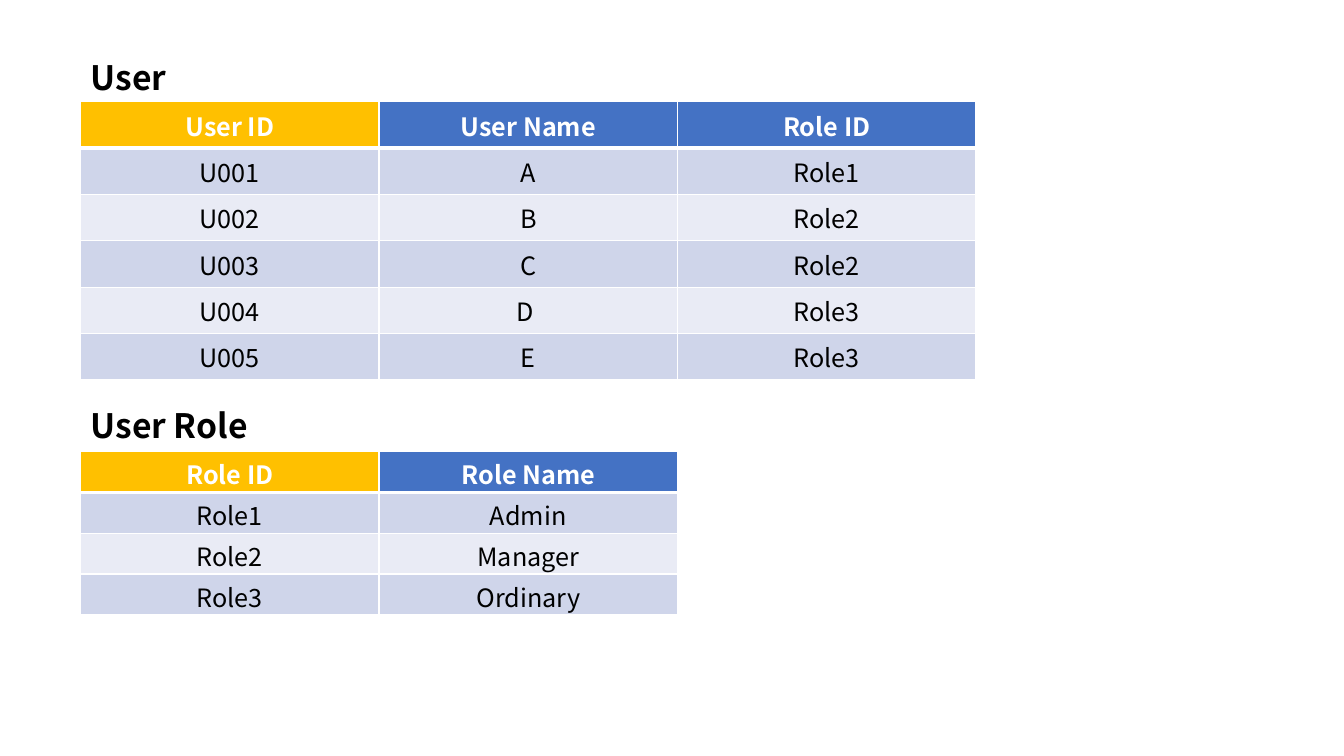
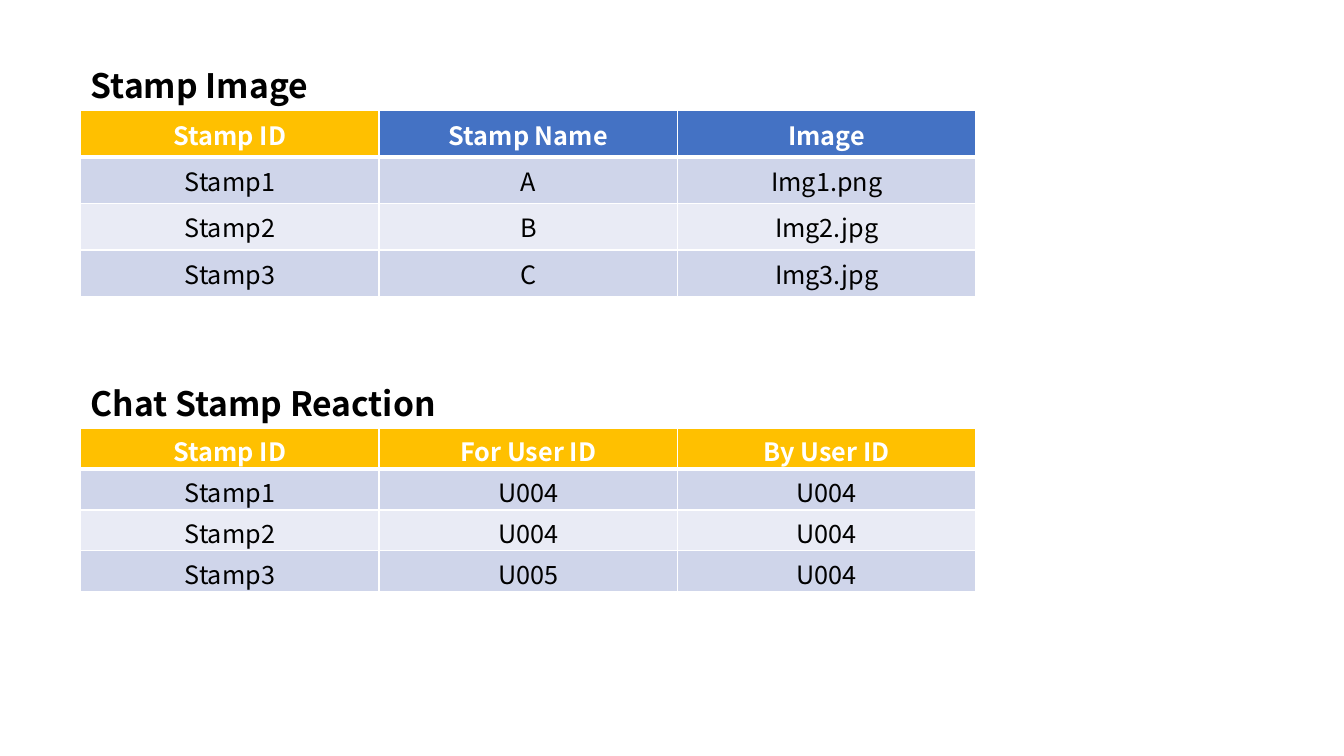
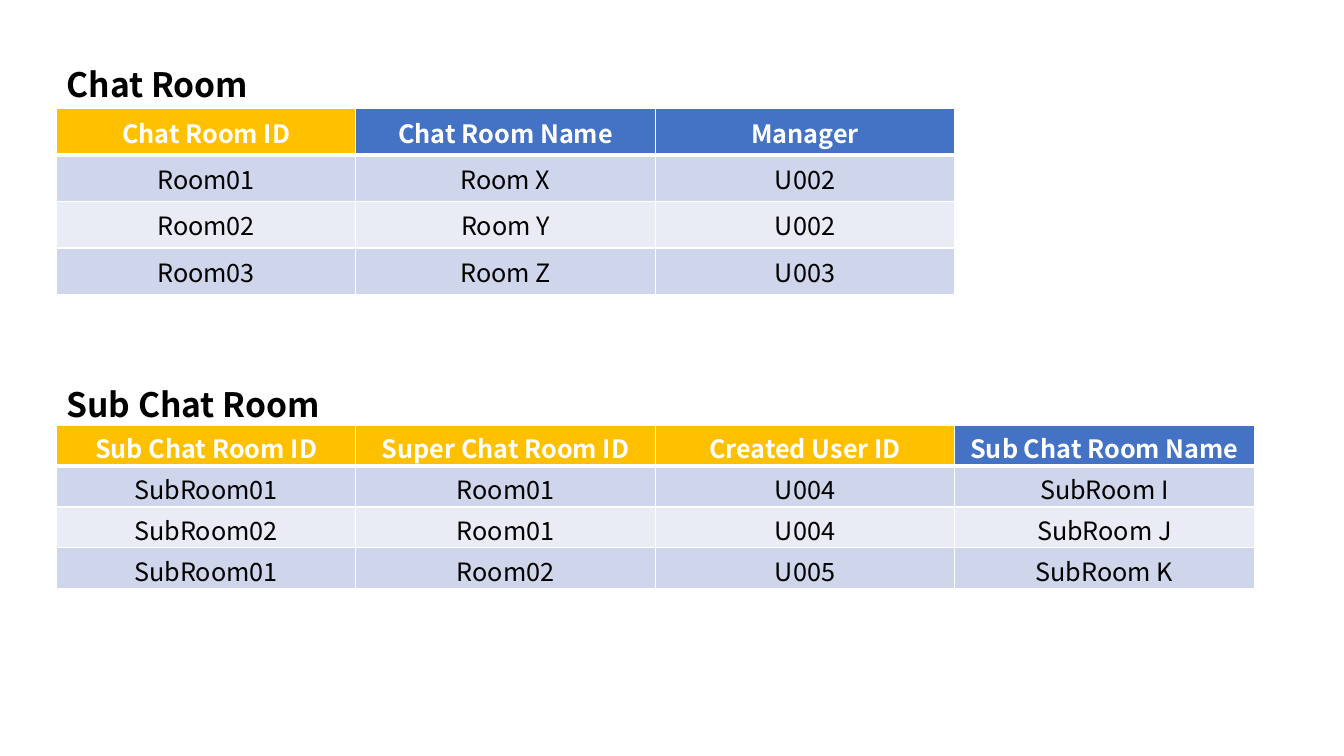
from dataclasses import dataclass

from lxml.etree import SubElement
from pptx import Presentation
from pptx.dml.color import RGBColor
from pptx.enum.text import MSO_ANCHOR, MSO_AUTO_SIZE, PP_ALIGN
from pptx.oxml.ns import qn
from pptx.shapes.base import BaseShape
from pptx.slide import Slide
from pptx.table import _Cell as Cell
from pptx.text.text import TextFrame
from pptx.util import Inches, Pt

COLORS = {
    "key": "FFC000",
    "header": "4472C4",
    "odd_row": "CFD5EA",
    "even_row": "E9EBF5",
    "white": "FFFFFF",
    "black": "000000",
}
FONT_NAME = "Noto Sans CJK JP"
HEADING_FONT = {"name": FONT_NAME, "size": Pt(24), "bold": True}
HEADER_FONT = {"name": FONT_NAME, "size": Pt(18), "bold": True}
BODY_FONT = {"name": FONT_NAME, "size": Pt(18), "bold": False}
HEADING_FRAME = {
    "word_wrap": True,
    "vertical_anchor": MSO_ANCHOR.TOP,
    "auto_size": MSO_AUTO_SIZE.SHAPE_TO_FIT_TEXT,
}
HEADING_HEIGHT = 0.5
TITLE_ONLY_LAYOUT = 5


@dataclass(frozen=True)
class RowStyle:
    height: float
    margins: dict[str, float]


ROOMY = RowStyle(0.46, {"margin_top": 0.05, "margin_bottom": 0.05})
COMPACT = RowStyle(0.405, {"margin_top": 0.04, "margin_bottom": 0})


@dataclass(frozen=True)
class Entity:
    """A headed table whose first key_count columns form its key."""

    heading: str
    heading_top: float
    heading_width: float
    table_top: float
    key_count: int
    rows: list[list[str]]


@dataclass(frozen=True)
class EntitySlide:
    left: float
    column_width: float
    upper: Entity
    lower: Entity


SLIDES = [
    EntitySlide(
        0.8, 2.96,
        Entity("User", 0.51, 2.38, 1.01, 1, [
            ["User ID", "User Name", "Role ID"],
            ["U001", "A", "Role1"],
            ["U002", "B", "Role2"],
            ["U003", "C", "Role2"],
            ["U004", "D ", "Role3"],
            ["U005", "E", "Role3"],
        ]),
        Entity("User Role", 3.97, 2.38, 4.48, 1, [
            ["Role ID", "Role Name"],
            ["Role1", "Admin"],
            ["Role2", "Manager"],
            ["Role3", "Ordinary"],
        ]),
    ),
    EntitySlide(
        0.8, 2.96,
        Entity("Stamp Image", 0.59, 2.38, 1.1, 1, [
            ["Stamp ID", "Stamp Name", "Image"],
            ["Stamp1", "A", "Img1.png"],
            ["Stamp2", "B", "Img2.jpg"],
            ["Stamp3", "C", "Img3.jpg"],
        ]),
        Entity("Chat Stamp Reaction", 3.75, 4.98, 4.25, 3, [
            ["Stamp ID", "For User ID", "By User ID"],
            ["Stamp1", "U004", "U004"],
            ["Stamp2", "U004", "U004"],
            ["Stamp3", "U005", "U004"],
        ]),
    ),
    EntitySlide(
        0.56, 2.97,
        Entity("Chat Room", 0.58, 2.38, 1.08, 1, [
            ["Chat Room ID", "Chat Room Name", "Manager"],
            ["Room01", "Room X", "U002"],
            ["Room02", "Room Y", "U002"],
            ["Room03", "Room Z", "U003"],
        ]),
        Entity("Sub Chat Room", 3.76, 4.4, 4.22, 3, [
            ["Sub Chat Room ID", "Super Chat Room ID", "Created User ID", "Sub Chat Room Name"],
            ["SubRoom01", "Room01", "U004", "SubRoom I"],
            ["SubRoom02", "Room01", "U004", "SubRoom J"],
            ["SubRoom01", "Room02", "U005", "SubRoom K"],
        ]),
    ),
]


def set_attributes(target: object, values: dict) -> None:
    for name, value in values.items():
        setattr(target, name, value)


def write_text(frame: TextFrame, text: str, font: dict, color: str, alignment: PP_ALIGN) -> None:
    paragraph = frame.paragraphs[0]
    paragraph.alignment = alignment
    run = paragraph.add_run()
    run.text = text
    set_attributes(run.font, font)
    run.font.color.rgb = RGBColor.from_string(COLORS[color])


def format_heading(shape: BaseShape, entity: Entity, left: float) -> None:
    set_attributes(shape, {
        "left": Inches(left),
        "top": Inches(entity.heading_top),
        "width": Inches(entity.heading_width),
        "height": Inches(HEADING_HEIGHT),
    })
    set_attributes(shape.text_frame, HEADING_FRAME)
    write_text(shape.text_frame, entity.heading, HEADING_FONT, "black", PP_ALIGN.LEFT)


def add_borders(cell: Cell, row_index: int) -> None:
    """Draw white borders, with a thick one under the header row."""
    widths = {
        "L": 1,
        "R": 1,
        "T": 3 if row_index == 1 else 1,
        "B": 3 if row_index == 0 else 1,
    }
    properties = cell._tc.get_or_add_tcPr()
    for side, width in widths.items():
        line = SubElement(properties, qn(f"a:ln{side}"), w=str(Pt(width)))
        fill = SubElement(line, qn("a:solidFill"))
        SubElement(fill, qn("a:srgbClr"), val=COLORS["white"])


def cell_fill(row_index: int, column_index: int, key_count: int) -> str:
    if row_index == 0:
        return "key" if column_index < key_count else "header"
    return "odd_row" if row_index % 2 else "even_row"


def add_entity_table(
    slide: Slide, entity: Entity, left: float, column_width: float, style: RowStyle
) -> None:
    row_count, column_count = len(entity.rows), len(entity.rows[0])
    table = slide.shapes.add_table(
        row_count, column_count, Inches(left), Inches(entity.table_top),
        Inches(column_width * column_count), Inches(style.height * row_count),
    ).table
    margins = {name: Inches(value) for name, value in style.margins.items()}
    for row_index, row in enumerate(entity.rows):
        font, color = (BODY_FONT, "black") if row_index else (HEADER_FONT, "white")
        for column_index, text in enumerate(row):
            cell = table.cell(row_index, column_index)
            set_attributes(cell, margins)
            add_borders(cell, row_index)
            cell.fill.solid()
            fill = cell_fill(row_index, column_index, entity.key_count)
            cell.fill.fore_color.rgb = RGBColor.from_string(COLORS[fill])
            write_text(cell.text_frame, text, font, color, PP_ALIGN.CENTER)


def add_entity_slide(presentation: Presentation, content: EntitySlide) -> None:
    slide = presentation.slides.add_slide(presentation.slide_layouts[TITLE_ONLY_LAYOUT])
    lower_heading = slide.shapes.add_textbox(0, 0, 0, 0)
    format_heading(slide.shapes.title, content.upper, content.left)
    format_heading(lower_heading, content.lower, content.left)
    for entity, style in ((content.upper, ROOMY), (content.lower, COMPACT)):
        add_entity_table(slide, entity, content.left, content.column_width, style)


def main() -> None:
    presentation = Presentation()
    presentation.slide_width = Inches(13.33)
    presentation.slide_height = Inches(7.5)
    for content in SLIDES:
        add_entity_slide(presentation, content)
    presentation.save("out.pptx")


if __name__ == "__main__":
    main()
